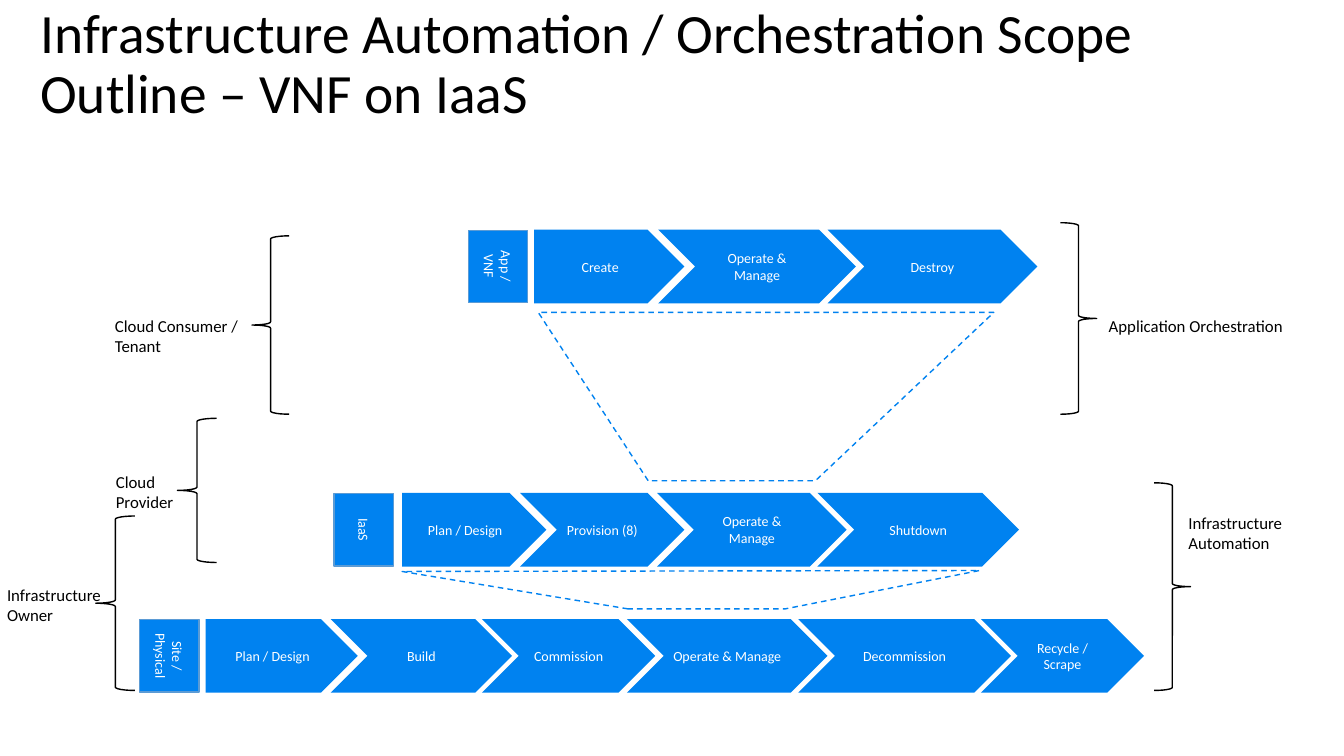
"""Build the slide on the automation scope of a VNF on IaaS."""
from pptx import Presentation
from pptx.dml.color import RGBColor as Rgb
from pptx.enum.dml import MSO_LINE as Dash
from pptx.enum.shapes import MSO_SHAPE as Kind
from pptx.enum.text import MSO_ANCHOR as Anchor, MSO_AUTO_SIZE as Fit, PP_ALIGN as Align
from pptx.util import Pt

COLORS = {"blue": "0082F0", "edge": "5B9BD5", "black": "000000", "white": "FFFFFF"}
FONT = "Calibri"
STEP_H = 52.6
TAG_W, TAG_H = 51.8, 42.5

ROWS = [
    ("Site / Physical", 121, 468.5, [
        ("Plan / Design", 146.9, 108.7), ("Build", 236.2, 129.6),
        ("Commission", 344.2, 123.8), ("Operate & Manage", 447.8, 143.3),
        ("Decommission", 570.2, 151.9), ("Recycle / Scrape", 700.6, 116.6)]),
    ("IaaS", 259.9, 378.4, [
        ("Plan / Design", 287.3, 103), ("Provision (8)", 371.5, 117.4),
        ("Operate & Manage", 469.4, 135.4), ("Shutdown", 583.9, 144)]),
    ("App / VNF", 355.7, 190.4, [
        ("Create", 381.6, 107.3), ("Operate & Manage", 470.2, 141.1),
        ("Destroy", 591.1, 149.8)]),
]
ZOOMS = [
    [(463, 343.4), (384.5, 223.2), (709.9, 223.2), (582.5, 343.4)],
    [(448.6, 434.9), (287.3, 408.2), (699.8, 407.5), (560.9, 434.9)],
]
BRACES = [
    (180, 168.5, 26.6, 127.4, False), (126.7, 298.8, 28, 103, False),
    (68.4, 368.6, 28, 124.6, False), (824.4, 344.9, 26, 148.3, True),
    (757.4, 159.1, 26, 136.8, True),
]
LABELS = [
    ("Cloud Consumer /\nTenant", 76.3, 222.5, 146),
    ("Cloud\nProvider", 77, 334.1, 90),
    ("Infrastructure\nOwner", -0.7, 414.7, 122),
    ("Infrastructure\nAutomation", 843.1, 363.6, 122),
    ("Application Orchestration", 786.2, 222.5, 140),
]


def color(name):
    """Return the named colour."""
    return Rgb.from_string(COLORS[name])


def write(frame, text, size, ink, align):
    """Put styled text into a frame."""
    frame.text = text
    frame.word_wrap = True
    for para in frame.paragraphs:
        para.alignment = align
        for run in para.runs:
            run.font.name = FONT
            run.font.size = Pt(size)
            run.font.color.rgb = color(ink)


def inset(frame):
    """Set the narrow margins of step and label text."""
    frame.margin_left = frame.margin_right = Pt(5.76)
    frame.margin_top = frame.margin_bottom = Pt(2.88)


def outline(shape, ink):
    """Give a shape a thin line and no shadow."""
    shape.shadow.inherit = False
    shape.line.color.rgb = color(ink)
    shape.line.width = Pt(1)


def block(slide, kind, text, x, mid, w, h):
    """Add a blue block centred on a row's middle line."""
    shape = slide.shapes.add_shape(kind, Pt(x), Pt(mid - h / 2), Pt(w), Pt(h))
    shape.shadow.inherit = False
    shape.fill.solid()
    shape.fill.fore_color.rgb = color("blue")
    shape.line.fill.background()
    frame = shape.text_frame
    write(frame, text, 10, "white", Align.CENTER)
    inset(frame)
    frame.vertical_anchor = Anchor.MIDDLE
    return shape


def row(slide, name, center, mid, steps):
    """Add a life cycle: a turned tag and its chain of steps."""
    for i, (text, x, w) in enumerate(steps):
        kind = Kind.CHEVRON if i else Kind.PENTAGON
        block(slide, kind, text, x, mid, w, STEP_H)
    tag = block(slide, Kind.RECTANGLE, name, center - TAG_W / 2, mid, TAG_W, TAG_H)
    outline(tag, "edge")
    tag.rotation = 90


def zoom(slide, points):
    """Add a dashed outline that links a step to the row above."""
    start, *rest = [(Pt(x), Pt(y)) for x, y in points]
    build = slide.shapes.build_freeform(*start)
    build.add_line_segments(rest, close=True)
    shape = build.convert_to_shape()
    shape.fill.background()
    outline(shape, "blue")
    shape.line.dash_style = Dash.DASH


def brace(slide, x, y, w, h, flip):
    """Add a brace, mirrored on the right side."""
    shape = slide.shapes.add_shape(Kind.LEFT_BRACE, Pt(x), Pt(y), Pt(w), Pt(h))
    shape.fill.background()
    outline(shape, "black")
    if flip:
        shape._element.spPr.xfrm.set("flipH", "1")


def label(slide, text, x, y, w):
    """Add the name of a role or scope."""
    frame = slide.shapes.add_textbox(Pt(x), Pt(y), Pt(w), Pt(36)).text_frame
    write(frame, text, 12, "black", Align.LEFT)
    inset(frame)


def head(slide, text):
    """Fill and place the title."""
    title = slide.shapes.title
    title.left, title.top, title.width, title.height = Pt(21.6), Pt(4.3), Pt(895), Pt(85)
    frame = title.text_frame
    write(frame, text, 39.6, "black", Align.LEFT)
    frame.auto_size = Fit.NONE
    frame.vertical_anchor = Anchor.MIDDLE
    frame.paragraphs[0].line_spacing = 0.9


def main():
    """Build and save the slide."""
    deck = Presentation()
    deck.slide_width, deck.slide_height = Pt(960), Pt(540)
    slide = deck.slides.add_slide(deck.slide_layouts[5])
    head(slide, "Infrastructure Automation / Orchestration Scope Outline – VNF on IaaS")
    for points in ZOOMS:
        zoom(slide, points)
    for item in ROWS:
        row(slide, *item)
    for item in BRACES:
        brace(slide, *item)
    for item in LABELS:
        label(slide, *item)
    deck.save("out.pptx")


if __name__ == "__main__":
    main()
